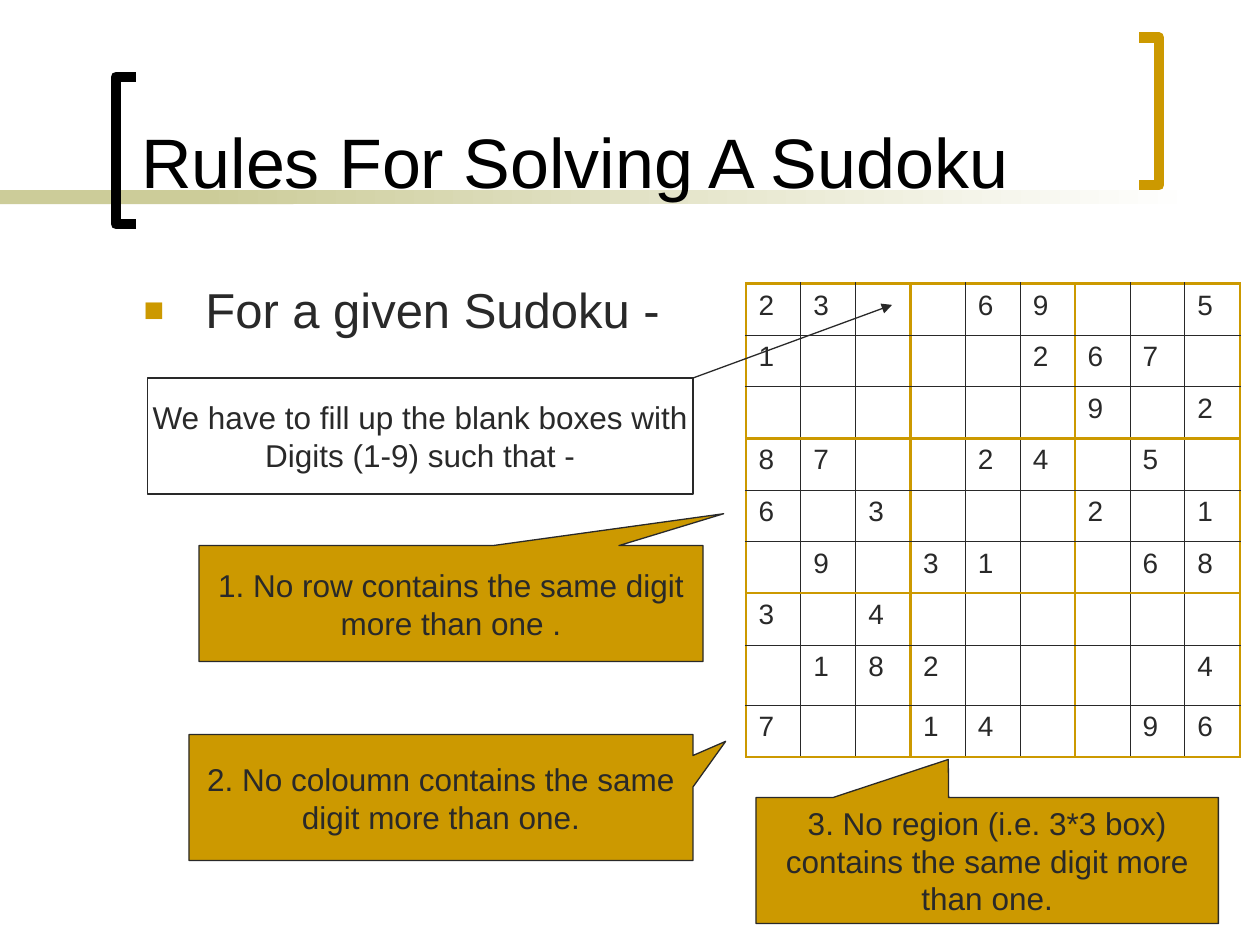
from dataclasses import dataclass

from lxml.etree import SubElement
from pptx import Presentation
from pptx.dml.color import RGBColor
from pptx.enum.shapes import MSO_CONNECTOR, MSO_SHAPE
from pptx.enum.text import MSO_ANCHOR, MSO_AUTO_SIZE, PP_ALIGN
from pptx.oxml.ns import qn
from pptx.util import Inches, Pt


@dataclass(frozen=True)
class Theme:
    font: str = "Arial"
    black: str = "000000"
    ink: str = "292929"
    gold: str = "CC9900"
    sand: str = "CCCC99"
    white: str = "FFFFFF"
    title_size: int = 40
    body_size: int = 28
    label_size: int = 18
    digit_size: int = 16
    thin: float = 0.45
    thick: float = 1.47
    outline: float = 0.75
    bracket: float = 6


THEME = Theme()

TITLE = "Rules For Solving A Sudoku"
INTRO = "For a given Sudoku -"
GRID = [
    "23..69..5",
    "1....267.",
    "......9.2",
    "87..24.5.",
    "6.3...2.1",
    ".9.31..68",
    "3.4......",
    ".182....4",
    "7..14..96",
]
GRID_LEFT, GRID_TOP, GRID_WIDTH = 5.92, 2.25, 3.92
ROW_HEIGHT, TALL_ROW, TALL_HEIGHT = 0.41, 7, 0.48
REGION = 3

GOAL = ("We have to fill up the blank boxes with\nDigits (1-9) such that -", (1.17, 3, 4.33, 0.92))
RULES = [
    ("1. No row contains the same digit\nmore than one .", (1.58, 4.33, 4, 0.92), (0.541, -0.775)),
    ("2. No coloumn contains the same\ndigit more than one.", (1.5, 5.83, 4, 1), (0.565, -0.446)),
    ("3. No region (i.e. 3*3 box) contains the same digit more than one.",
     (6, 6.33, 3.67, 1), (-0.084, -0.802)),
]
BRACKETS = [
    ([(1.08, 1.78), (0.92, 1.78), (0.92, 0.61), (1.08, 0.61)], THEME.black),
    ([(9.04, 0.3), (9.2, 0.3), (9.2, 1.47), (9.04, 1.47)], THEME.gold),
]


def rgb(value):
    return RGBColor.from_string(value)


def inches(values):
    return [Inches(value) for value in values]


def style_text(frame, size, color, align):
    for para in frame.paragraphs:
        para.alignment = align
        for span in para.runs:
            span.font.name = THEME.font
            span.font.size = Pt(size)
            span.font.color.rgb = rgb(color)


def set_line(line, color, width):
    line.color.rgb = rgb(color)
    line.width = Pt(width)


def add_bars(page):
    for left, width in ((0, 2.33), (1.58, 7.92)):
        bar = page.shapes.add_shape(MSO_SHAPE.RECTANGLE, *inches((left, 1.51, width, 0.11)))
        bar.shadow.inherit = False
        bar.line.fill.background()
        if left:
            bar.fill.gradient()
            bar.fill.gradient_angle = 0
            for stop, color in zip(bar.fill.gradient_stops, (THEME.sand, THEME.white)):
                stop.color.rgb = rgb(color)
        else:
            bar.fill.solid()
            bar.fill.fore_color.rgb = rgb(THEME.sand)


def add_brackets(page):
    for points, color in BRACKETS:
        start, *rest = [tuple(inches(point)) for point in points]
        builder = page.shapes.build_freeform(*start)
        builder.add_line_segments(rest, close=False)
        bracket = builder.convert_to_shape()
        bracket.shadow.inherit = False
        bracket.fill.background()
        set_line(bracket.line, color, THEME.bracket)


def fill_placeholder(page, holder, content, area, size, color, anchor):
    holder.left, holder.top, holder.width, holder.height = inches(area)
    frame = holder.text_frame
    frame.text = content
    frame.auto_size = MSO_AUTO_SIZE.NONE
    frame.vertical_anchor = anchor
    frame.paragraphs[0].space_before = Pt(0)
    style_text(frame, size, color, PP_ALIGN.LEFT)
    page.shapes._spTree.append(holder._element)


def add_bullet(para):
    properties = para._p.get_or_add_pPr()
    properties.set("marL", str(Inches(0.49)))
    properties.set("indent", str(-Inches(0.49)))
    color = SubElement(properties, qn("a:buClr"))
    SubElement(color, qn("a:srgbClr"), val=THEME.gold)
    SubElement(properties, qn("a:buSzPct"), val="70000")
    SubElement(properties, qn("a:buFont"), typeface=THEME.font)
    SubElement(properties, qn("a:buChar"), char="■")


def set_borders(cell, row, column):
    edges = {"lnL": column, "lnR": column + 1, "lnT": row, "lnB": row + 1}
    properties = cell._tc.get_or_add_tcPr()
    for tag, position in edges.items():
        region_edge = position % REGION == 0
        width = THEME.thick if region_edge else THEME.thin
        border = SubElement(properties, qn(f"a:{tag}"), w=str(Pt(width)))
        fill = SubElement(border, qn("a:solidFill"))
        SubElement(fill, qn("a:srgbClr"), val=THEME.gold if region_edge else THEME.ink)


def add_sudoku(page):
    count = len(GRID)
    heights = [TALL_HEIGHT if row == TALL_ROW else ROW_HEIGHT for row in range(count)]
    area = inches((GRID_LEFT, GRID_TOP, GRID_WIDTH, sum(heights)))
    table = page.shapes.add_table(count, count, *area).table
    table.first_row = table.horz_banding = False
    for column in table.columns:
        column.width = Inches(GRID_WIDTH / count)
    for row, (digits, height) in enumerate(zip(GRID, heights)):
        table.rows[row].height = Inches(height)
        for column, digit in enumerate(digits):
            cell = table.cell(row, column)
            set_borders(cell, row, column)
            cell.fill.background()
            if digit != ".":
                cell.text_frame.text = digit
                style_text(cell.text_frame, THEME.digit_size, THEME.ink, PP_ALIGN.LEFT)


def add_label(page, kind, content, area, color, wrap=True):
    box = page.shapes.add_shape(kind, *inches(area))
    box.shadow.inherit = False
    box.fill.solid()
    box.fill.fore_color.rgb = rgb(color)
    set_line(box.line, THEME.ink, THEME.outline)
    frame = box.text_frame
    frame.text = content
    frame.word_wrap = wrap
    frame.vertical_anchor = MSO_ANCHOR.MIDDLE
    style_text(frame, THEME.label_size, THEME.ink, PP_ALIGN.CENTER)
    return box


def add_arrow(page, start, end):
    arrow = page.shapes.add_connector(MSO_CONNECTOR.STRAIGHT, *inches(start + end))
    set_line(arrow.line, THEME.ink, THEME.outline)
    SubElement(arrow.line._get_or_add_ln(), qn("a:tailEnd"), type="triangle")
    SubElement(arrow._element.spPr, qn("a:effectLst"))


def main():
    deck = Presentation()
    deck.slide_width, deck.slide_height = inches((10, 7.5))
    page = deck.slides.add_slide(deck.slide_layouts[1])
    title, body = page.shapes.title, page.placeholders[1]
    add_bars(page)
    add_brackets(page)
    fill_placeholder(page, title, TITLE, (1.02, 0.11, 7.83, 1.55),
                     THEME.title_size, THEME.black, MSO_ANCHOR.BOTTOM)
    fill_placeholder(page, body, INTRO, (1.04, 2.17, 4.71, 4.5),
                     THEME.body_size, THEME.ink, MSO_ANCHOR.TOP)
    add_bullet(body.text_frame.paragraphs[0])
    add_sudoku(page)
    add_label(page, MSO_SHAPE.RECTANGLE, *GOAL, THEME.white, wrap=False)
    add_arrow(page, (5.5, 3), (7.08, 2.42))
    for content, area, pointer in RULES:
        callout = add_label(page, MSO_SHAPE.RECTANGULAR_CALLOUT, content, area, THEME.gold)
        for index, value in enumerate(pointer):
            callout.adjustments[index] = value
    deck.save("out.pptx")


if __name__ == "__main__":
    main()
